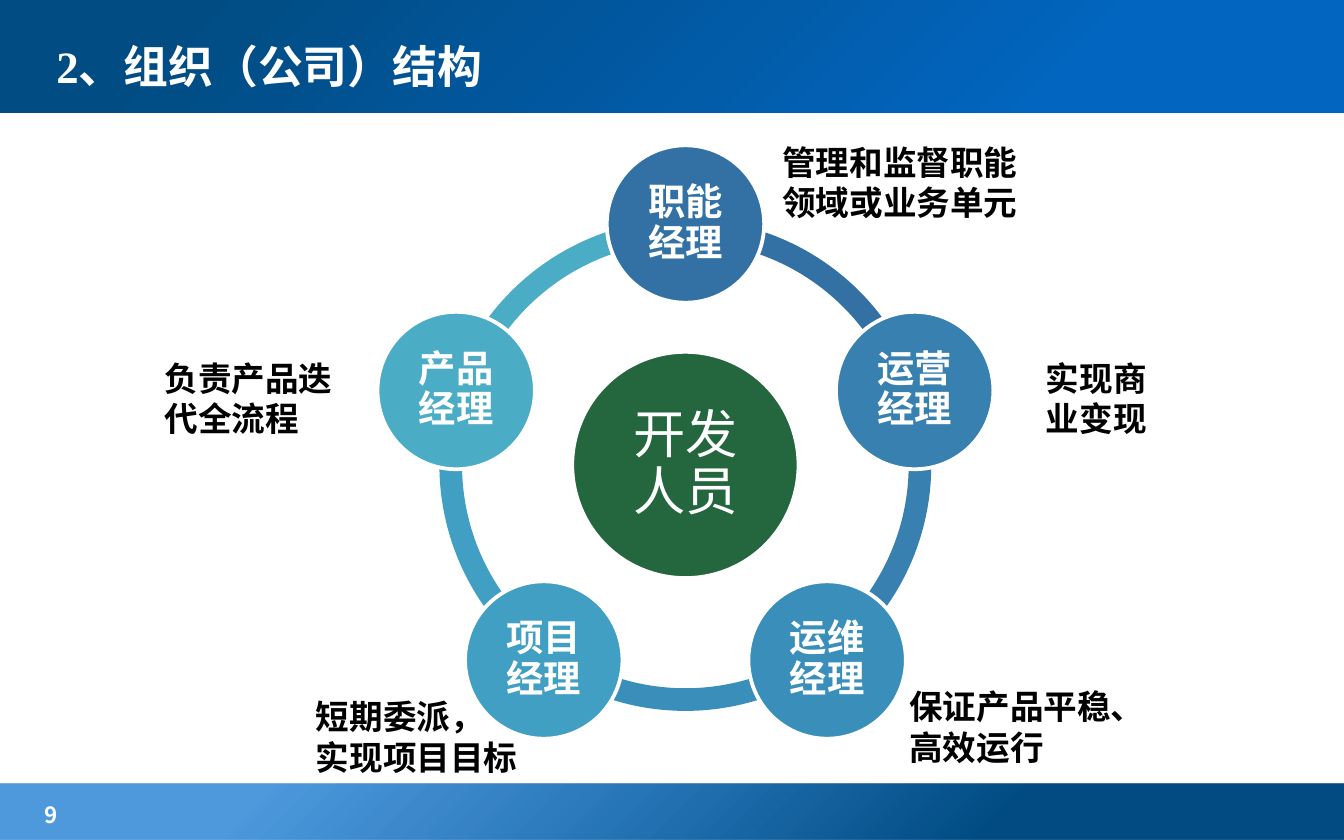
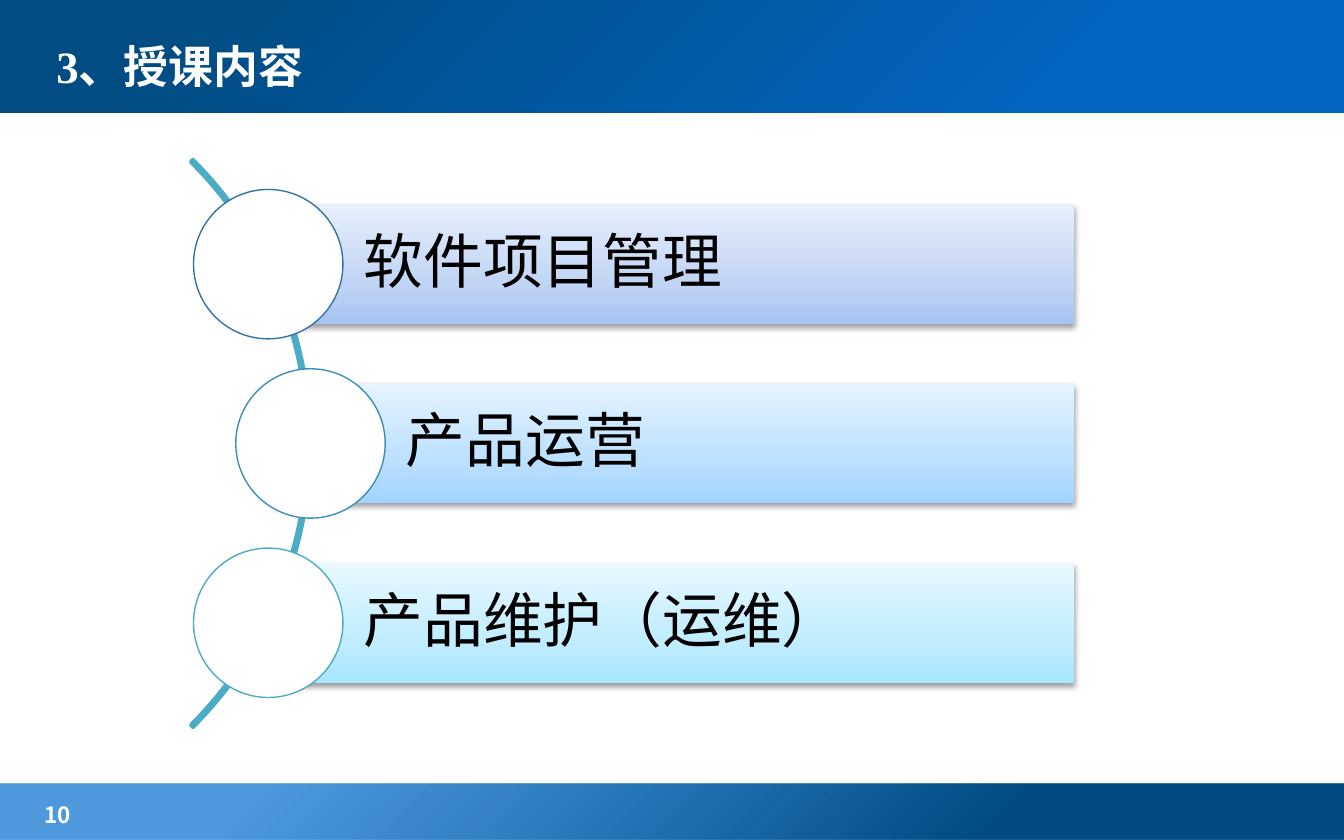
import math

import lxml.etree
import pptx
import pptx.dml.color
import pptx.enum.shapes
import pptx.enum.text
import pptx.oxml
import pptx.oxml.ns
import pptx.util

SHAPE = pptx.enum.shapes.MSO_SHAPE
ALIGN = pptx.enum.text.PP_ALIGN
ANCHOR = pptx.enum.text.MSO_ANCHOR
qn = pptx.oxml.ns.qn

# The grid: 100 columns by 62.5 rows of square cells
WIDE, HIGH = 100, 62.5
SERIF, SANS, CJK = "Times New Roman", "Cabin", "Noto Sans CJK SC"
HUE = {
    "white": "FFFFFF", "black": "000000", "hub": "24673E",
    "navy": "014C83", "royal": "0265BF", "azure": "026DCE",
    "blue1": "3371A4", "blue2": "3780AF", "blue3": "3A8FBA",
    "blue4": "409FC3", "teal": "4BACC6",
    "lilac1": "A6C4F1", "lilac2": "C1D5F4", "lilac3": "E7EFFC",
    "sky1": "A0D4FF", "sky2": "BCE0FF", "sky3": "E5F3FF",
    "aqua1": "A7E6FF", "aqua2": "C1EDFF", "aqua3": "E7F8FF",
}

# Manager, colour, duty, then the duty's x, y, width as shares of the ring
ROLES = [
    ("职能经理", "blue1", "管理和监督职能领域或业务单元", SERIF, 0.17, -0.18, 0.54),
    ("运营经理", "blue2", "实现商业变现", SANS, 0.24, -0.08, 0.28),
    ("运维经理", "blue3", "保证产品平稳、高效运行", SERIF, 0.14, 0.04, 0.49),
    ("项目经理", "blue4", "短期委派，\n实现项目目标", SERIF, -0.49, 0.06, 0.5),
    ("产品经理", "teal", "负责产品迭代全流程", SANS, -0.62, -0.08, 0.44),
]
# Topic, circle outline, gradient family
TOPICS = [
    ("软件项目管理", "blue1", "lilac"),
    ("产品运营", "blue3", "sky"),
    ("产品维护（运维）", "teal", "aqua"),
]


def cell(n):
    return pptx.util.Inches(n / 10)


def rgb(name):
    return pptx.dml.color.RGBColor.from_string(HUE[name])


def tag(parent, name, **attrs):
    """Add an XML child with the given attributes."""
    return lxml.etree.SubElement(
        parent, qn(name), {key: str(val) for key, val in attrs.items()})


def write(shape, text, size=18, font=SERIF, color="black", bold=False,
          align=ALIGN.LEFT, anchor=ANCHOR.TOP, line=None, pad=None):
    """Fill a shape with text; pad is left, top, right, bottom in cells."""
    frame = shape.text_frame
    frame.word_wrap = True
    frame.auto_size = pptx.enum.text.MSO_AUTO_SIZE.NONE
    frame.vertical_anchor = anchor
    if pad:
        (frame.margin_left, frame.margin_top,
         frame.margin_right, frame.margin_bottom) = map(cell, pad)
    frame.text = text
    for para in frame.paragraphs:
        para.alignment = align
        if line:
            para.line_spacing = line
        for run in para.runs:
            run.font.size = pptx.util.Pt(size)
            run.font.name = font
            run.font.bold = bold
            run.font.color.rgb = rgb(color)
            tag(run.font._element, "a:ea", typeface=CJK)


def label(slide, box, text, **style):
    write(slide.shapes.add_textbox(*map(cell, box)), text, **style)


def draw(slide, kind, box, fill=None, edge=None, width=2):
    """Add a preset shape with a flat fill and an optional outline."""
    shape = slide.shapes.add_shape(kind, *map(cell, box))
    shape.shadow.inherit = False
    if fill:
        shape.fill.solid()
        shape.fill.fore_color.rgb = rgb(fill)
    else:
        shape.fill.background()
    if edge:
        shape.line.color.rgb = rgb(edge)
        shape.line.width = pptx.util.Pt(width)
    else:
        shape.line.fill.background()
    return shape


def disc(slide, x, y, size, **style):
    """Add a circle by its centre."""
    box = (x - size / 2, y - size / 2, size, size)
    return draw(slide, SHAPE.OVAL, box, **style)


def arc(slide, box, start, end, thick, **style):
    """Add a block arc between two angles in degrees."""
    shape = draw(slide, SHAPE.BLOCK_ARC, box, **style)
    for i, value in enumerate((start % 360 * 0.6, end % 360 * 0.6, thick)):
        shape.adjustments[i] = value


def blend(shape, stops, angle=None):
    """Grade a shape along an angle, or round its lower right corner."""
    props = shape.element.spPr
    grad = pptx.oxml.parse_xml(
        f'<a:gradFill {pptx.oxml.ns.nsdecls("a")} rotWithShape="1"/>')
    items = tag(grad, "a:gsLst")
    for at, name, alpha in stops:
        stop = tag(items, "a:gs", pos=at * 1000)
        color = tag(stop, "a:srgbClr", val=HUE[name])
        if alpha < 100:
            tag(color, "a:alpha", val=alpha * 1000)
    if angle is None:
        way = tag(grad, "a:path", path="circle")
        tag(way, "a:fillToRect", l=100000, t=100000)
    else:
        tag(grad, "a:lin", ang=angle * 60000, scaled=1)
    props.replace(props.find(qn("a:noFill")), grad)


def shade(shape):
    """Drop a soft shadow below a shape."""
    effects = shape.element.spPr.find(qn("a:effectLst"))
    shadow = tag(effects, "a:outerShdw", blurRad=40000, dist=20000,
                 dir=5400000, rotWithShape=0)
    tag(tag(shadow, "a:srgbClr", val=HUE["black"]), "a:alpha", val=38000)


def bands(slide, layout):
    """Draw the head and foot bands and move them to the layout."""
    looks = [
        ((0, 58.3, WIDE, 4.2), [(26, "navy", 100), (80, "azure", 70)]),
        ((0, -0.3, WIDE, 8.7), [(21, "royal", 100), (86, "navy", 100)]),
    ]
    for i, (box, stops) in enumerate(looks):
        band = draw(slide, SHAPE.RECTANGLE, box)
        blend(band, stops)
        band.element.nvSpPr.cNvPr.id = 20 + i
        layout.shapes.element.insert(2 + i, band.element)


def page(deck, title, number):
    """Add a slide with its title and page number."""
    slide = deck.slides.add_slide(deck.slide_layouts[5])
    head = slide.shapes.title
    head.left, head.top, head.width, head.height = map(
        cell, (3.2, 1.3, 63.8, 7.1))
    write(head, title, size=24, color="white", bold=True,
          anchor=ANCHOR.MIDDLE)
    label(slide, (2.3, 59.1, 15.7, 2.6), str(number), size=12, font=CJK,
          color="white", bold=True)
    return slide


def cycle(slide, box):
    """Ring of managers around the developers, in a square box."""
    left, top, side, _ = box
    midx, midy = left + side / 2, top + side / 2
    turn = 360 / len(ROLES)
    angles = [270 + i * turn for i in range(len(ROLES))]

    # Ring segments, last one at the back
    for role, angle in reversed(list(zip(ROLES, angles))):
        arc(slide, box, angle, angle + turn, 0.046, fill=role[1])

    # Hub
    inner = dict(color="white", align=ALIGN.CENTER, anchor=ANCHOR.MIDDLE,
                 line=0.9)
    hub = disc(slide, midx, midy, side * 0.46, fill="hub", edge="white")
    write(hub, "开发人员", size=28, font=SANS, pad=[0.4] * 4, **inner)

    # Managers and their duties
    for role, angle in zip(ROLES, angles):
        name, color, duty, font, dx, dy, width = role
        x = midx + side * 0.49 * math.cos(math.radians(angle))
        y = midy + side * 0.49 * math.sin(math.radians(angle))
        node = disc(slide, x, y, side * 0.32, fill=color, edge="white")
        write(node, name, size=20, bold=True, pad=[0.3] * 4, **inner)
        spot = (x + dx * side, y + dy * side, width * side, 7.1)
        label(slide, spot, duty, font=font, bold=True)


def curve(slide, box):
    """Topic bars whose circles sit on a wide arc."""
    left, top, width, height = box
    size = height * 5 / 17
    step = (height - size) / (len(TOPICS) - 1)
    radius = height * 0.79
    midy = top + height / 2
    bulge = radius - math.sqrt(radius ** 2 - step ** 2)
    hubx = left + size / 2 + bulge - radius

    # Arc
    arc(slide, (hubx - radius, midy - radius, 2 * radius, 2 * radius),
        315, 45, 0.004, edge="teal")

    # Bars and circles
    for i, (topic, edge, tint) in enumerate(TOPICS):
        y = top + size / 2 + i * step
        x = hubx + math.sqrt(radius ** 2 - (y - midy) ** 2)
        tall = size * 0.8
        bar = draw(slide, SHAPE.RECTANGLE,
                   (x, y - tall / 2, left + width - x, tall))
        blend(bar, [(0, tint + "1", 100), (35, tint + "2", 100),
                    (100, tint + "3", 100)], angle=270)
        shade(bar)
        write(bar, topic, size=32, font=SANS, anchor=ANCHOR.MIDDLE,
              line=0.9, pad=(7.1, 0.9, 0.9, 0.9))
        disc(slide, x, y, size, fill="white", edge=edge, width=0.75)


def main():
    deck = pptx.Presentation()
    deck.slide_width, deck.slide_height = cell(WIDE), cell(HIGH)

    team = page(deck, "2、组织（公司）结构", 9)
    bands(team, deck.slide_layouts[5])
    cycle(team, (32.7, 16.3, 36.6, 36.6))

    course = page(deck, "3、授课内容", 10)
    curve(course, (14.4, 14.1, 65.5, 37.8))

    deck.save("out.pptx")


if __name__ == "__main__":
    main()
